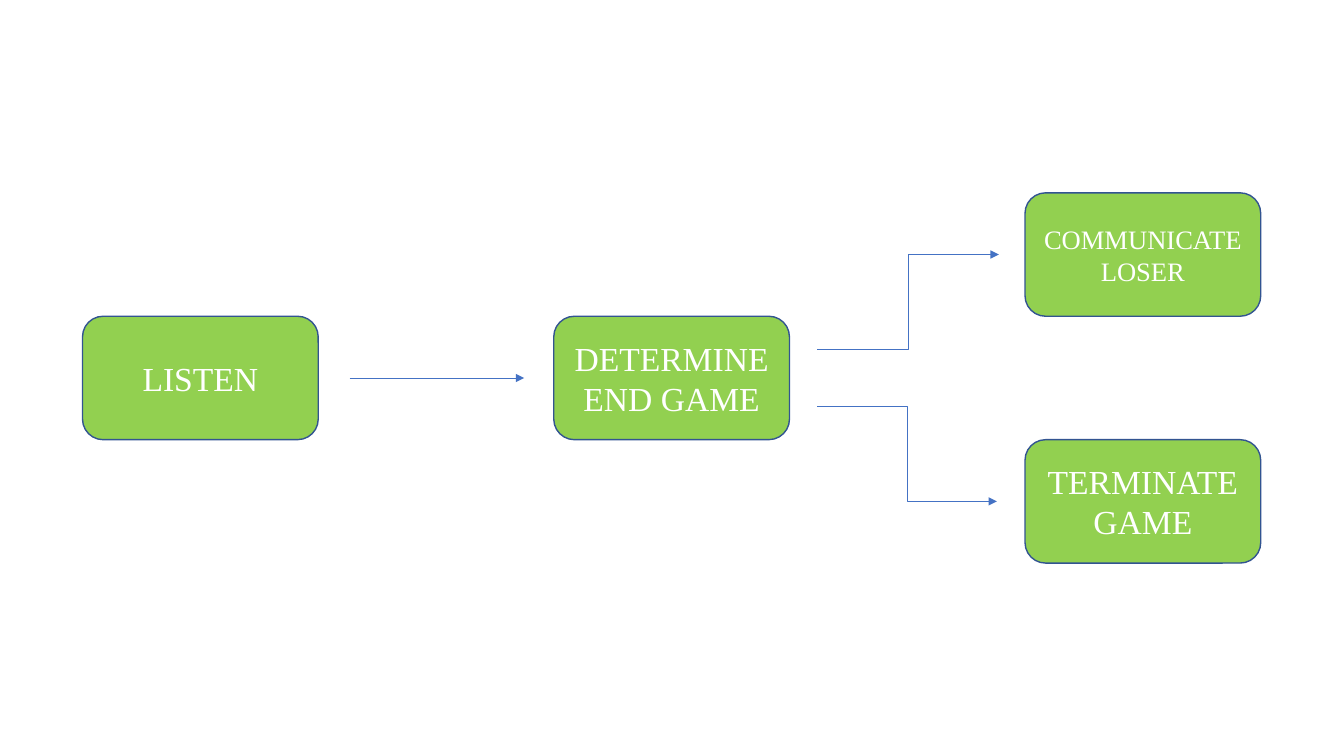
"""Build a slide with the flow from listening to the end of a game."""
from lxml import etree
from pptx import Presentation
from pptx.dml.color import RGBColor as RGB
from pptx.enum.shapes import MSO_CONNECTOR as CONN, MSO_SHAPE as SHAPE
from pptx.enum.text import MSO_ANCHOR as ANCHOR, PP_ALIGN as ALIGN
from pptx.oxml.ns import qn
from pptx.util import Cm, Pt

COLORS = {"box": "92D050", "border": "325491", "arrow": "4472C4", "text": "FFFFFF"}
BOX_W, BOX_H = 5.94, 3.11
LEFT, STEP = 2.08, 11.875
MIDDLE = 9.525
FORK = 0.71


def write(tf, text, font="Times New Roman", size=24, color="text", align=ALIGN.CENTER):
    tf.word_wrap = True
    tf.vertical_anchor = ANCHOR.MIDDLE
    for i, line in enumerate(text.split("\n")):
        p = tf.paragraphs[0] if i == 0 else tf.add_paragraph()
        p.alignment = align
        r = p.add_run()
        r.text = line
        r.font.name = font
        r.font.size = Pt(size)
        r.font.color.rgb = RGB.from_string(COLORS[color])


class Flow:
    def __init__(self, slide):
        self.s = slide

    def box(self, column, center, text, **fmt):
        sp = self.s.shapes.add_shape(
            SHAPE.ROUNDED_RECTANGLE, Cm(LEFT + column * STEP), Cm(center - BOX_H / 2),
            Cm(BOX_W), Cm(BOX_H))
        sp.shadow.inherit = False
        sp.fill.solid()
        sp.fill.fore_color.rgb = RGB.from_string(COLORS["box"])
        sp.line.color.rgb = RGB.from_string(COLORS["border"])
        sp.line.width = Pt(1)
        write(sp.text_frame, text, **fmt)

    def arrow(self, x1, y1, x2, y2, kind=CONN.ELBOW):
        c = self.s.shapes.add_connector(kind, Cm(x1), Cm(y1), Cm(x2), Cm(y2))
        c.line.color.rgb = RGB.from_string(COLORS["arrow"])
        c.line.width = Pt(0.5)
        etree.SubElement(c.line._get_or_add_ln(), qn("a:tailEnd"), type="triangle")
        etree.SubElement(c._element.spPr, qn("a:effectLst"))


def main():
    prs = Presentation()
    prs.slide_width, prs.slide_height = Cm(33.867), Cm(19.05)
    flow = Flow(prs.slides.add_slide(prs.slide_layouts[6]))

    upper, lower = MIDDLE - BOX_H, MIDDLE + BOX_H
    flow.box(0, MIDDLE, "LISTEN")
    flow.box(1, MIDDLE, "DETERMINE\nEND GAME")
    flow.box(2, upper, "COMMUNICATE\nLOSER", size=19)
    flow.box(2, lower, "TERMINATE\nGAME")

    flow.arrow(8.81, MIDDLE, 13.21, MIDDLE, kind=CONN.STRAIGHT)
    flow.arrow(20.6, MIDDLE - FORK, 25.17, upper)
    flow.arrow(20.6, MIDDLE + FORK, 25.12, lower)

    prs.save("out.pptx")


if __name__ == "__main__":
    main()
